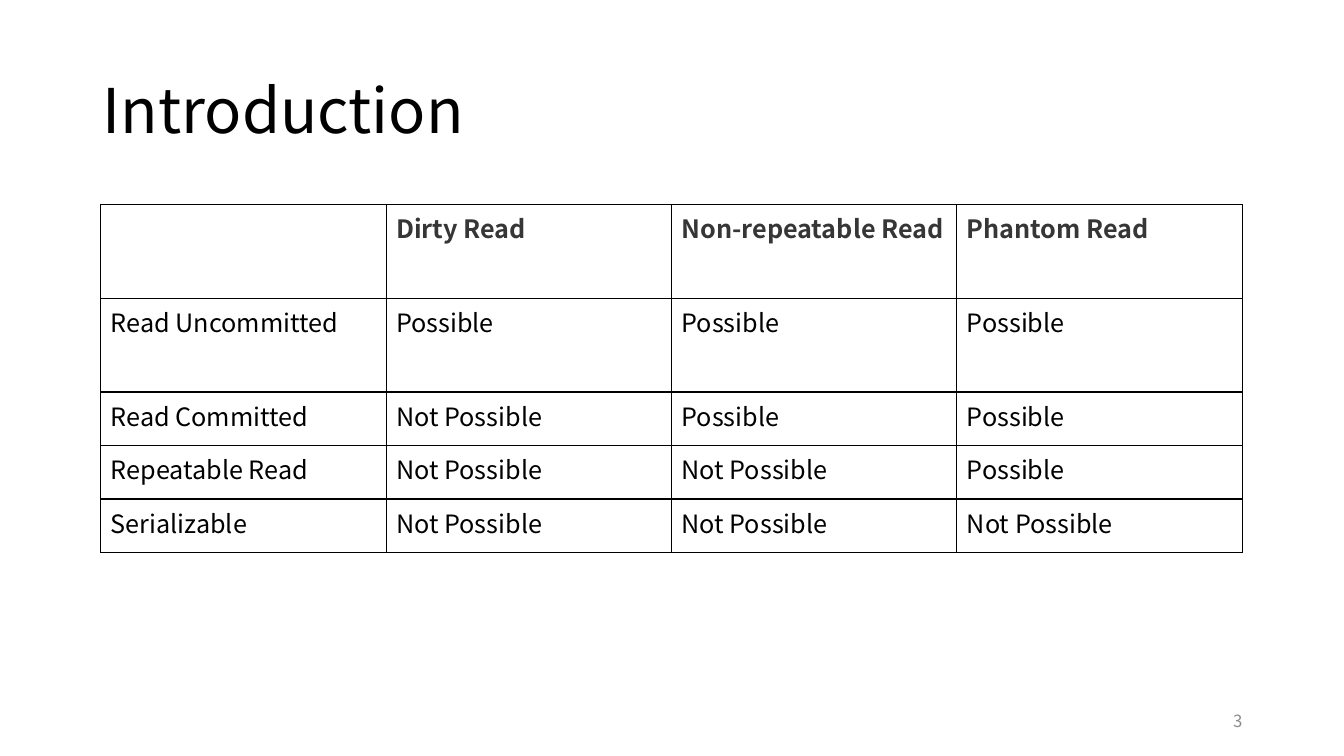
from dataclasses import dataclass

import pptx
import pptx.dml.color
import pptx.enum.text
import pptx.oxml
import pptx.oxml.ns
import pptx.util
from pptx.util import Inches

FONT = "Noto Sans CJK SC"
BLACK = "000000"
HEADING_GREY = "363636"
NUMBER_GREY = "8C8C8C"
COLUMN_WIDTH = 2.83
ANOMALIES = ("", "Dirty Read", "Non-repeatable Read", "Phantom Read")


@dataclass(frozen=True)
class IsolationLevel:
    name: str
    anomalies_prevented: int
    row_height: float = 0.53


LEVELS = (
    IsolationLevel("Read Uncommitted", 0, 0.93),
    IsolationLevel("Read Committed", 1),
    IsolationLevel("Repeatable Read", 2),
    IsolationLevel("Serializable", 3),
)


def rgb(colour: str) -> pptx.dml.color.RGBColor:
    return pptx.dml.color.RGBColor.from_string(colour)


def format_text(frame, size: float, colour: str, bold: bool = False) -> None:
    for paragraph in frame.paragraphs:
        font = paragraph.font
        font.size = pptx.util.Pt(size)
        for run in paragraph.runs:
            run.font.name = FONT
            run.font.size = pptx.util.Pt(size)
            run.font.bold = bold
            run.font.color.rgb = rgb(colour)


def place(shape, left: float, top: float, width: float, height: float) -> None:
    shape.left, shape.top = Inches(left), Inches(top)
    shape.width, shape.height = Inches(width), Inches(height)


def add_borders(cell) -> None:
    properties = cell._tc.get_or_add_tcPr()
    for index, side in enumerate("LRTB"):
        border = pptx.oxml.parse_xml(
            f'<a:ln{side} {pptx.oxml.ns.nsdecls("a")} w="{pptx.util.Pt(1)}">'
            f'<a:solidFill><a:srgbClr val="{BLACK}"/></a:solidFill></a:ln{side}>'
        )
        properties.insert(index, border)


def add_title(slide) -> None:
    title = slide.shapes.title
    place(title, 0.92, 0.4, 11.5, 1.45)
    frame = title.text_frame
    frame.text = "Introduction"
    frame.vertical_anchor = pptx.enum.text.MSO_ANCHOR.MIDDLE
    frame.paragraphs[0].alignment = pptx.enum.text.PP_ALIGN.LEFT
    frame.paragraphs[0].line_spacing = 0.9
    format_text(frame, 44, BLACK)


def add_isolation_table(slide) -> None:
    rows = [ANOMALIES]
    for level in LEVELS:
        outcomes = (
            "Not Possible" if index < level.anomalies_prevented else "Possible"
            for index in range(len(ANOMALIES) - 1)
        )
        rows.append((level.name, *outcomes))
    heights = [0.93] + [level.row_height for level in LEVELS]

    table = slide.shapes.add_table(
        len(rows), len(ANOMALIES), Inches(1), Inches(2.03),
        Inches(COLUMN_WIDTH * len(ANOMALIES)), Inches(sum(heights)),
    ).table
    table.horz_banding = False
    for column in table.columns:
        column.width = Inches(COLUMN_WIDTH)
    for row_index, (row, height) in enumerate(zip(rows, heights)):
        is_heading = row_index == 0
        table.rows[row_index].height = Inches(height)
        for column_index, wording in enumerate(row):
            cell = table.cell(row_index, column_index)
            cell.text_frame.text = wording
            format_text(cell.text_frame, 18,
                        HEADING_GREY if is_heading else BLACK, is_heading)
            cell.fill.background()
            add_borders(cell)


def add_slide_number(slide) -> None:
    number = slide.shapes.add_textbox(
        Inches(9.42), Inches(6.95), Inches(3), Inches(0.4))
    frame = number.text_frame
    frame.word_wrap = True
    frame.text = "3"
    frame.vertical_anchor = pptx.enum.text.MSO_ANCHOR.MIDDLE
    frame.paragraphs[0].alignment = pptx.enum.text.PP_ALIGN.RIGHT
    format_text(frame, 12, NUMBER_GREY)


def main() -> None:
    presentation = pptx.Presentation()
    presentation.slide_width = Inches(13.33)
    presentation.slide_height = Inches(7.5)
    title_only = presentation.slide_layouts.get_by_name("Title Only")
    slide = presentation.slides.add_slide(title_only)
    add_title(slide)
    add_isolation_table(slide)
    add_slide_number(slide)
    presentation.save("out.pptx")


if __name__ == "__main__":
    main()
